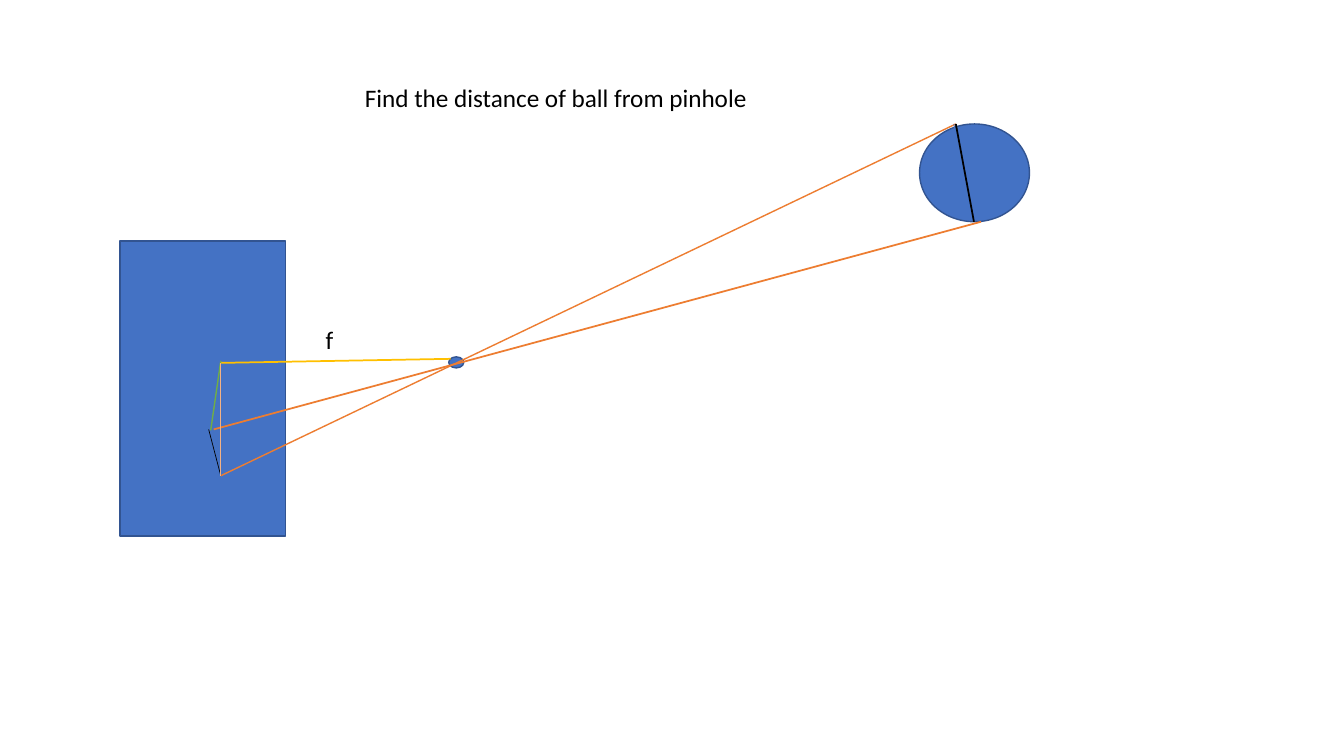
from pptx import Presentation
from pptx.dml.color import RGBColor
from pptx.enum.shapes import MSO_CONNECTOR, MSO_SHAPE
from pptx.enum.text import MSO_AUTO_SIZE
from pptx.util import Inches, Pt
from lxml.etree import SubElement

COLORS = {
    "blue": "4472C4", "outline": "325491", "orange": "ED7D31", "peach": "F4B183",
    "gold": "FFC000", "green": "70AD47", "black": "000000",
}
FONT = "Calibri"

# Content: bodies as (preset, left, top, width, height), in inches
BODIES = [
    (MSO_SHAPE.RECTANGLE, 1.19, 2.39, 1.64, 2.93),  # camera box
    (MSO_SHAPE.OVAL, 4.45, 3.54, 0.15, 0.11),       # pinhole
    (MSO_SHAPE.OVAL, 9.12, 1.23, 1.09, 0.97),       # ball
]

# Points where the lines meet
BALL_TOP, BALL_BOTTOM = (9.48, 1.23), (9.66, 2.2)
IMAGE_CENTER, IMAGE_FAR = (2.19, 3.6), (2.19, 4.72)

# Lines as (start, end, color, width in points), split by the label between them
RAYS = [
    (BALL_TOP, IMAGE_FAR, "orange", 1),
    ((9.73, 2.2), (2.12, 4.26), "orange", 1.25),
    ((2.07, 4.26), IMAGE_FAR, "black", 0.5),
    ((4.47, 3.56), IMAGE_CENTER, "gold", 1.25),
]
MEASURES = [
    ((9.46, 1.23), BALL_BOTTOM, "blue", 0.5),
    (BALL_TOP, BALL_BOTTOM, "black", 1.25),
    ((2.19, 3.58), (2.09, 4.27), "green", 1),
    (IMAGE_CENTER, IMAGE_FAR, "peach", 1),
]
FOCAL_LABEL = ("f", 3.13, 3.17, 0.28, 0.4)
QUESTION = ("Find the distance of ball from pinhole", 3.52, 0.77, 4.04, 0.4)


def rgb(name):
    return RGBColor.from_string(COLORS[name])


def add_body(slide, preset, *place):
    body = slide.shapes.add_shape(preset, *map(Inches, place))
    body.shadow.inherit = False
    body.fill.solid()
    body.fill.fore_color.rgb = rgb("blue")
    body.line.color.rgb = rgb("outline")
    body.line.width = Pt(1)


def add_line(slide, start, end, color, width):
    line = slide.shapes.add_connector(
        MSO_CONNECTOR.STRAIGHT, *map(Inches, start + end))
    line.line.color.rgb = rgb(color)
    line.line.width = Pt(width)
    properties = line._element.spPr
    SubElement(properties, properties.tag.split("}")[0].replace(
        "presentationml", "drawingml").replace("2006/main", "2006/main") + "}effectLst")


def add_text(slide, text, *place, size=18, color="black"):
    frame = slide.shapes.add_textbox(*map(Inches, place)).text_frame
    frame.word_wrap = False
    frame.auto_size = MSO_AUTO_SIZE.SHAPE_TO_FIT_TEXT
    run = frame.paragraphs[0].add_run()
    run.text = text
    run.font.name = FONT
    run.font.size = Pt(size)
    run.font.color.rgb = rgb(color)


def main():
    deck = Presentation()
    deck.slide_width, deck.slide_height = Inches(13.33), Inches(7.5)
    slide = deck.slides.add_slide(deck.slide_layouts[6])

    # Camera, pinhole and ball
    for body in BODIES:
        add_body(slide, *body)

    # Light rays and focal length
    for ray in RAYS:
        add_line(slide, *ray)
    add_text(slide, *FOCAL_LABEL)

    # Ball diameter and image offsets
    for measure in MEASURES:
        add_line(slide, *measure)
    add_text(slide, *QUESTION)

    deck.save("out.pptx")


if __name__ == "__main__":
    main()
